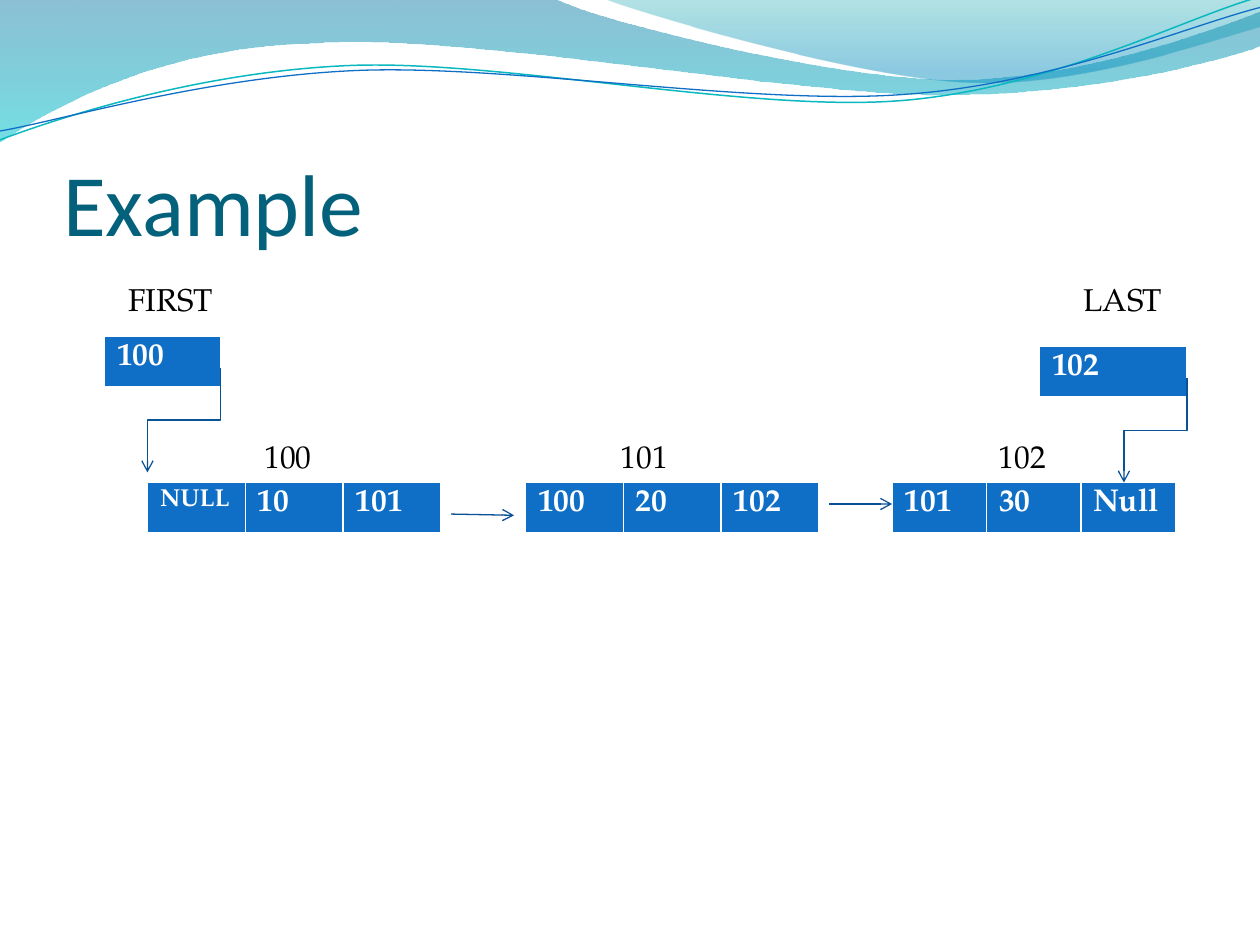
from math import cos, radians, sin

from lxml import etree
from pptx import Presentation
from pptx.dml.color import RGBColor
from pptx.enum.shapes import MSO_CONNECTOR
from pptx.enum.text import MSO_ANCHOR, MSO_AUTO_SIZE, PP_ALIGN
from pptx.oxml.ns import qn
from pptx.util import Inches, Pt

STRAIGHT, ELBOW = MSO_CONNECTOR.STRAIGHT, MSO_CONNECTOR.ELBOW
BOTTOM, LEFT = MSO_ANCHOR.BOTTOM, PP_ALIGN.LEFT
FIT_SHAPE = MSO_AUTO_SIZE.SHAPE_TO_FIT_TEXT

WIDTH, HEIGHT = 10, 7.5
TITLE_FONT, BODY_FONT = "Calibri", "TeX Gyre Pagella"
BLUE, ARROW_BLUE, TITLE_BLUE = "0F6FC6", "095295", "04617B"
WHITE, BLACK = "FFFFFF", "000000"
ROW_HEIGHT = 0.41
WAVE_TILT = 2.7
BORDERS = {"a:lnL": 1, "a:lnR": 1, "a:lnT": 1, "a:lnB": 3}

BANDS = [
    ([(0, 0), (4.4, -0.01), (4.76, 0.17, 6.64, 0.63, 7.58, 0.63),
      (8.53, 0.63, 9.58, 0.26, 10, 0.09), (10.01, 0.36),
      (9.83, 0.44, 8.7, 0.76, 7.46, 0.75), (6.22, 0.75, 3.82, 0.28, 2.57, 0.34),
      (1.29, 0.36, 0.46, 0.83, -0.01, 1.13), (0, 0)],
     [(0, "0074A1", 45), (1, "00C6CF", 55)]),
    ([(4.79, -0.01), (5.09, 0.11, 6.82, 0.62, 7.69, 0.65),
      (8.56, 0.69, 9.61, 0.32, 10, 0.21), (10, 0), (4.79, -0.01)],
     [(0, "00A1A9", 30), (0.8, "008BBF", 45)]),
]
WAVES = [
    ([(0, 1.11), (0.48, 0.93, 1.58, 0.57, 2.77, 0.52),
      (3.95, 0.47, 5.93, 0.89, 7.13, 0.8), (8.33, 0.71, 9.38, 0.15, 9.98, -0.02)],
     (4.99, 0.58), "0AB8BF", 0.85),
    ([(0, 1.04), (0.47, 0.96, 1.64, 0.61, 2.83, 0.56),
      (4.03, 0.51, 5.97, 0.84, 7.17, 0.75), (8.36, 0.67, 9.41, 0.21, 10, 0.06)],
     (5, 0.59), BLUE, 0.75),
]
TABLES = [
    (0.83, 2.67, 0.92, ["100"]),
    (1.17, 3.83, 2.33, ["NULL", "10", "101"]),
    (4.17, 3.83, 2.33, ["100", "20", "102"]),
    (7.08, 3.83, 2.25, ["101", "30", "Null"]),
    (8.25, 2.75, 1.17, ["102"]),
]
SMALL_SIZES = {"NULL": 14}
POINTERS = [(1.75, 2.92, 1.17, 3.75), (9.42, 3, 8.92, 3.83)]
LINKS = [(3.58, 4.08, 4.08, 4.09), (6.58, 4, 7.08, 4)]
LABELS = [
    ("FIRST", 0.92, 2.17, 0.88), ("LAST", 8.5, 2.17, 0.84),
    ("100", 2, 3.42, 0.58), ("101", 4.83, 3.42, 0.58), ("102", 7.83, 3.42, 0.58),
]


def color(value):
    return RGBColor.from_string(value)


def add_text(para, text, size, font, shade, bold=False):
    span = para.add_run()
    span.text = text
    span.font.size = Pt(size)
    span.font.name = font
    span.font.bold = bold
    span.font.color.rgb = color(shade)


def turn(point, center, degrees):
    x, y = point[0] - center[0], point[1] - center[1]
    angle = radians(degrees)
    return (center[0] + x * cos(angle) - y * sin(angle),
            center[1] + x * sin(angle) + y * cos(angle))


def add_outline(page, pieces, closed, center=(0, 0), tilt=0):
    points = [turn(piece[index:index + 2], center, tilt)
              for piece in pieces for index in range(0, len(piece), 2)]
    points = [(Inches(x), Inches(y)) for x, y in points]
    builder = page.shapes.build_freeform(*points[0], scale=1.0)
    builder.add_line_segments(points[1:], close=closed)
    shape = builder.convert_to_shape()
    shape.shadow.inherit = False
    shape.rotation = -tilt % 360
    segments = iter(list(shape._element.iter(qn("a:lnTo"))))
    for piece in pieces[1:]:
        segment = next(segments)
        if len(piece) == 6:
            segment.addprevious(curve := etree.Element(qn("a:cubicBezTo")))
            for part in (segment, next(segments), next(segments)):
                curve.append(part[0])
                part.getparent().remove(part)
    return shape


def add_band(page, pieces, stops):
    shape = add_outline(page, pieces, True)
    shape.line.fill.background()
    shape.fill.gradient()
    shape.fill.gradient_angle = 270
    for stop, (position, shade, opacity) in zip(shape.fill.gradient_stops, stops):
        stop.position = position
        stop.color.rgb = color(shade)
    for tag, (position, shade, opacity) in zip(shape._element.spPr.iter(qn("a:srgbClr")), stops):
        etree.SubElement(tag, qn("a:alpha"), val=str(opacity * 1000))


def add_wave(page, pieces, center, shade, weight):
    shape = add_outline(page, pieces, False, center, WAVE_TILT)
    shape.fill.background()
    shape.line.color.rgb = color(shade)
    shape.line.width = Pt(weight)


def add_title(page, text):
    title = page.shapes.title
    page.shapes._spTree.append(title._element)
    title.left, title.top, title.width, title.height = map(Inches, (0.5, 0.77, 9, 1.25))
    frame = title.text_frame
    frame.vertical_anchor = BOTTOM
    frame.margin_left = frame.margin_right = frame.margin_bottom = 0
    frame.margin_top = Inches(0.05)
    frame.paragraphs[0].alignment = LEFT
    add_text(frame.paragraphs[0], text, 50, TITLE_FONT, TITLE_BLUE)


def add_borders(cell):
    properties = cell._tc.get_or_add_tcPr()
    for index, (side, weight) in enumerate(BORDERS.items()):
        border = etree.Element(qn(side), w=str(Pt(weight)))
        fill = etree.SubElement(border, qn("a:solidFill"))
        etree.SubElement(fill, qn("a:srgbClr"), val=WHITE)
        properties.insert(index, border)


def add_node(page, left, top, width, values):
    table = page.shapes.add_table(
        1, len(values), *map(Inches, (left, top, width, ROW_HEIGHT))).table
    for column, cell, value in zip(table.columns, table.rows[0].cells, values):
        column.width = Inches(width / len(values))
        cell.fill.solid()
        cell.fill.fore_color.rgb = color(BLUE)
        add_borders(cell)
        add_text(cell.text_frame.paragraphs[0], value,
                 SMALL_SIZES.get(value, 18), BODY_FONT, WHITE, True)


def add_arrow(page, kind, *ends):
    arrow = page.shapes.add_connector(kind, *map(Inches, ends))
    arrow.line.color.rgb = color(ARROW_BLUE)
    arrow.line.width = Pt(0.75)
    etree.SubElement(arrow.line._get_or_add_ln(), qn("a:tailEnd"), type="arrow")
    etree.SubElement(arrow._element.spPr, qn("a:effectLst"))
    return arrow


def add_pointer(page, x1, y1, x2, y2):
    center_x, center_y = (x1 + x2) / 2, (y1 + y2) / 2
    half_run, half_drop = (x1 - x2) / 2, (y2 - y1) / 2
    arrow = add_arrow(page, ELBOW, center_x - half_drop, center_y - half_run,
                      center_x + half_drop, center_y + half_run)
    arrow._element.spPr.xfrm.set("rot", str(90 * 60000))


def add_label(page, text, left, top, width):
    box = page.shapes.add_textbox(*map(Inches, (left, top, width, 0.4)))
    box.text_frame.word_wrap = False
    box.text_frame.auto_size = FIT_SHAPE
    add_text(box.text_frame.paragraphs[0], text, 18, BODY_FONT, BLACK)


def main():
    deck = Presentation()
    deck.slide_width, deck.slide_height = Inches(WIDTH), Inches(HEIGHT)
    page = deck.slides.add_slide(deck.slide_layouts[5])
    for band in BANDS:
        add_band(page, *band)
    for wave in WAVES:
        add_wave(page, *wave)
    add_title(page, "Example")
    for node in TABLES:
        add_node(page, *node)
    for pointer in POINTERS:
        add_pointer(page, *pointer)
    for link in LINKS:
        add_arrow(page, STRAIGHT, *link)
    for label in LABELS:
        add_label(page, *label)
    deck.save("out.pptx")


if __name__ == "__main__":
    main()
